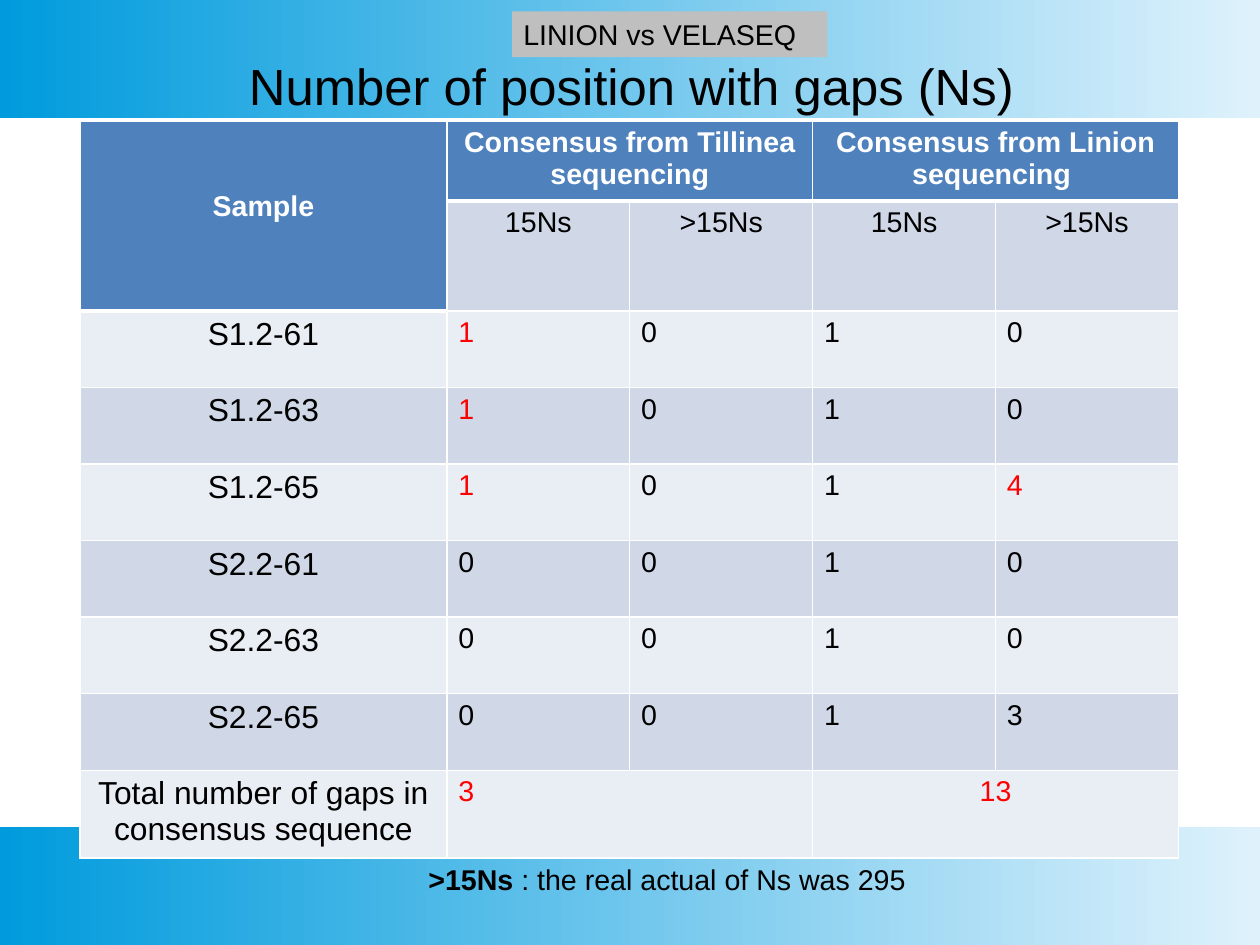
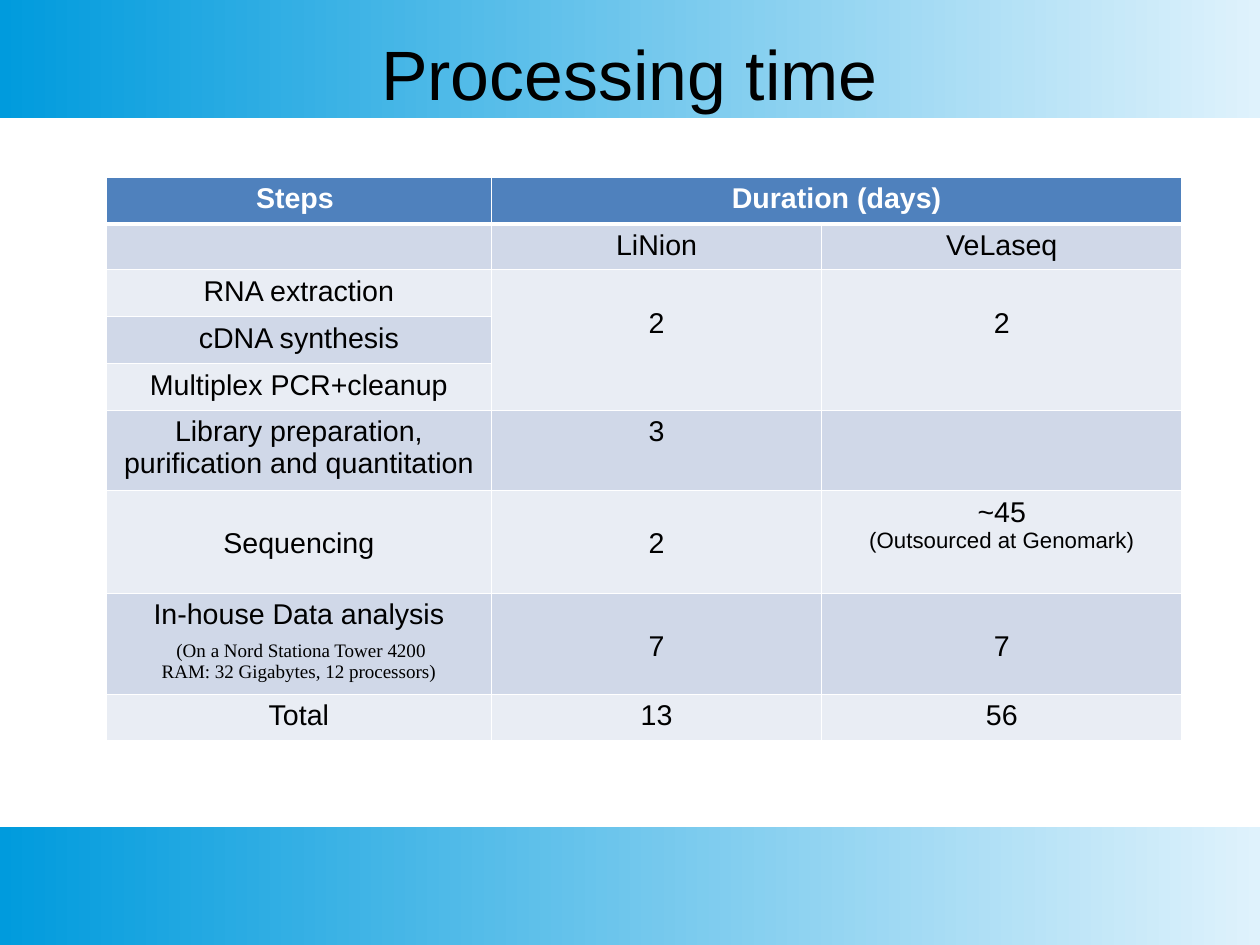
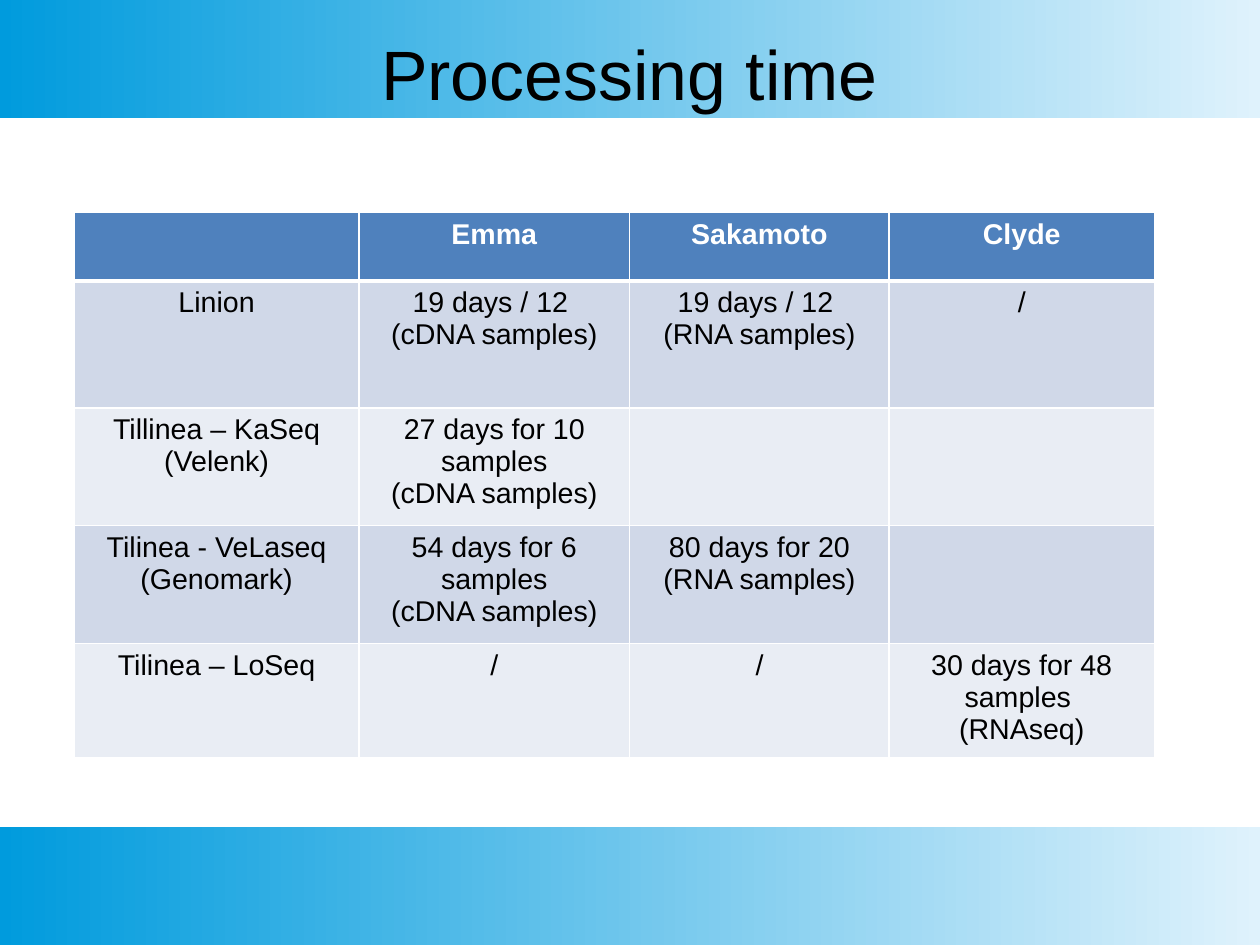
"""Build three slides that compare sequencing gaps and processing times."""
import dataclasses

import lxml.etree
import pptx
import pptx.dml.color
import pptx.enum.shapes
import pptx.enum.text
import pptx.oxml.ns
import pptx.util

Inches = pptx.util.Inches
Pt = pptx.util.Pt
RGB = pptx.dml.color.RGBColor.from_string
Align = pptx.enum.text.PP_ALIGN
Anchor = pptx.enum.text.MSO_ANCHOR
RECTANGLE = pptx.enum.shapes.MSO_SHAPE.RECTANGLE


@dataclasses.dataclass(frozen=True)
class Theme:
    font: str = "Arial"
    note_font: str = "Times New Roman"
    text: str = "000000"
    light: str = "FFFFFF"
    alert: str = "FF0000"
    label: str = "BFBFBF"
    header: str = "4F81BD"
    rows: tuple = ("E9EDF4", "D0D8E8")
    band: tuple = ("DFF2FC", "009BDD")
    title_size: int = 44
    long_title_size: int = 32
    sample_size: int = 20
    body_size: int = 18
    remark_size: int = 14
    note_size: int = 12


theme = Theme()
CM_PER_INCH = 2.54
WIDTH, HEIGHT, BAND = 28 / CM_PER_INCH, 21 / CM_PER_INCH, 1.03
TITLE_AREA = (0.55, 0.33, 9.92, 0.7)

deck = pptx.Presentation()
deck.slide_width, deck.slide_height = Inches(WIDTH), Inches(HEIGHT)


def add_page(title, area=TITLE_AREA, size=theme.title_size):
    page = deck.slides.add_slide(deck.slide_layouts[6])
    for band_top in (0, HEIGHT - BAND):
        band = page.shapes.add_shape(
            RECTANGLE, 0, Inches(band_top), Inches(WIDTH), Inches(BAND))
        band.shadow.inherit = False
        band.line.fill.background()
        band.fill.gradient()
        band.fill.gradient_angle = 180
        for stop, color in zip(band.fill.gradient_stops, theme.band):
            stop.color.rgb = RGB(color)
    frame = page.shapes.add_textbox(*map(Inches, area)).text_frame
    frame.word_wrap = True
    frame.vertical_anchor = Anchor.MIDDLE
    frame.margin_left = frame.margin_right = frame.margin_top = frame.margin_bottom = 0
    para = frame.paragraphs[0]
    para.text = title
    para.alignment = Align.CENTER
    para.line_spacing = 0.9
    para.font.name, para.font.size = theme.font, Pt(size)
    para.font.color.rgb = RGB(theme.text)
    return page


def add_grid(page, area, widths, heights, rows, merges=()):
    holder = page.shapes.add_table(len(rows), len(widths), *map(Inches, area))
    table = holder.table
    for column, width in zip(table.columns, widths):
        column.width = Inches(width)
    for index, (row, height, texts) in enumerate(zip(table.rows, heights, rows)):
        row.height = Inches(height)
        for cell, text in zip(row.cells, texts):
            cell.text = text
            properties = cell._tc.get_or_add_tcPr()
            for side in "LRTB":
                weight = 3 if index == 0 and side == "B" else 1
                line = lxml.etree.SubElement(
                    properties, pptx.oxml.ns.qn(f"a:ln{side}"), w=str(Pt(weight)))
                fill = lxml.etree.SubElement(line, pptx.oxml.ns.qn("a:solidFill"))
                lxml.etree.SubElement(
                    fill, pptx.oxml.ns.qn("a:srgbClr"), val=theme.light)
            cell.fill.solid()
            cell.fill.fore_color.rgb = RGB(
                theme.rows[index % 2] if index else theme.header)
            for para in cell.text_frame.paragraphs:
                para.alignment = Align.CENTER
                para.font.name, para.font.size = theme.font, Pt(theme.body_size)
                para.font.bold = index == 0
                para.font.color.rgb = RGB(theme.text if index else theme.light)
    holder.height = Inches(area[3])
    for first, last in merges:
        table.cell(*first).merge(table.cell(*last))
    return table


gaps_page = add_page("Number of position with gaps (Ns)", (0.03, 0.49, 11, 0.58),
                     theme.long_title_size)
gaps = add_grid(
    gaps_page, (0.7, 1.06, 9.62, 6.15), [3.21] + [1.6] * 4, [0.67] * 9,
    [["Sample", "Consensus from Tillinea sequencing", "",
      "Consensus from Linion sequencing ", ""],
     ["", "15Ns", ">15Ns", "15Ns", ">15Ns"],
     ["S1.2-61", "1", "0", "1", "0"],
     ["S1.2-63", "1", "0", "1", "0"],
     ["S1.2-65", "1", "0", "1", "4"],
     ["S2.2-61", "0", "0", "1", "0"],
     ["S2.2-63", "0", "0", "1", "0"],
     ["S2.2-65", "0", "0", "1", "3"],
     ["Total number of gaps in consensus sequence", "3", "", "13", ""]],
    [((0, 0), (1, 0)), ((0, 1), (0, 2)), ((0, 3), (0, 4)),
     ((8, 1), (8, 2)), ((8, 3), (8, 4))])
gaps.cell(0, 0).margin_top = Inches(0.61)
for row in range(2, 9):
    gaps.cell(row, 0).text_frame.paragraphs[0].font.size = Pt(theme.sample_size)
    for column in range(1, 5):
        gaps.cell(row, column).text_frame.paragraphs[0].alignment = Align.LEFT
gaps.cell(8, 3).text_frame.paragraphs[0].alignment = Align.CENTER
for row, column in ((2, 1), (3, 1), (4, 1), (4, 4), (8, 1), (8, 3)):
    gaps.cell(row, column).text_frame.paragraphs[0].font.color.rgb = RGB(theme.alert)

caption = gaps_page.shapes.add_textbox(
    Inches(3.65), Inches(7.49), Inches(4.64), Inches(0.4))
label = gaps_page.shapes.add_shape(
    RECTANGLE, Inches(4.48), Inches(0.1), Inches(2.76), Inches(0.4))
label.shadow.inherit = False
label.fill.solid()
label.fill.fore_color.rgb = RGB(theme.label)
label.line.fill.background()
for box, texts in ((caption, [">15Ns ", ": the real actual of Ns was 295"]),
                   (label, ["LINION vs VELASEQ"])):
    box.text_frame.word_wrap = True
    para = box.text_frame.paragraphs[0]
    para.alignment = Align.LEFT
    para.font.name, para.font.size = theme.font, Pt(theme.body_size)
    para.font.color.rgb = RGB(theme.text)
    for text in texts:
        para.add_run().text = text
caption.text_frame.paragraphs[0].runs[0].font.bold = True

steps_page = add_page("Processing time")
steps = add_grid(
    steps_page, (0.93, 1.55, 9.4, 4.96), [3.37, 2.89, 3.15],
    [0.41, 0.37] + [0.41] * 7,
    [["Steps ", "Duration (days)", ""],
     ["", "LiNion", "VeLaseq"],
     ["RNA extraction", "2", "2"],
     ["cDNA synthesis", "", ""],
     ["Multiplex PCR+cleanup", "", ""],
     ["Library preparation, purification and quantitation", "3", ""],
     ["Sequencing", "2", "~45\n(Outsourced at Genomark)"],
     ["In-house Data analysis\n (On a Nord Stationa Tower 4200\n"
      "RAM: 32 Gigabytes, 12 processors)", "7", "7"],
     ["Total", "13", "56"]],
    [((0, 1), (0, 2)), ((2, 1), (4, 1)), ((2, 2), (4, 2))])
for row, column in ((2, 1), (2, 2), (6, 0), (6, 1), (7, 1), (7, 2)):
    steps.cell(row, column).margin_top = Inches(0.33)
for column in (0, 1):
    steps.cell(6, column).margin_bottom = Inches(0.27)
steps.cell(6, 2).text_frame.paragraphs[1].font.size = Pt(theme.remark_size)
computer = steps.cell(7, 0).text_frame.paragraphs[1:]
computer[0].space_before = Pt(6)
for para in computer:
    para.font.name, para.font.size = theme.note_font, Pt(theme.note_size)

people_page = add_page("Processing time")
add_grid(
    people_page, (0.65, 1.86, 9.45, 4.78), [2.49, 2.37, 2.27, 2.32],
    [0.6, 1.11, 1.03, 1.03, 0.78],
    [["", "Emma", "Sakamoto", "Clyde"],
     ["Linion", "19 days / 12 \n(cDNA samples)", "19 days / 12 \n(RNA samples)", "/"],
     ["Tillinea – KaSeq\n(Velenk)", "27 days for 10 samples\n(cDNA samples)", "", ""],
     ["Tilinea - VeLaseq\n(Genomark)", "54 days for 6 samples\n(cDNA samples)",
      "80 days for 20\n(RNA samples)", ""],
     ["Tilinea – LoSeq", "/", "/", "30 days for 48 samples \n(RNAseq)"]])

deck.save("out.pptx")
